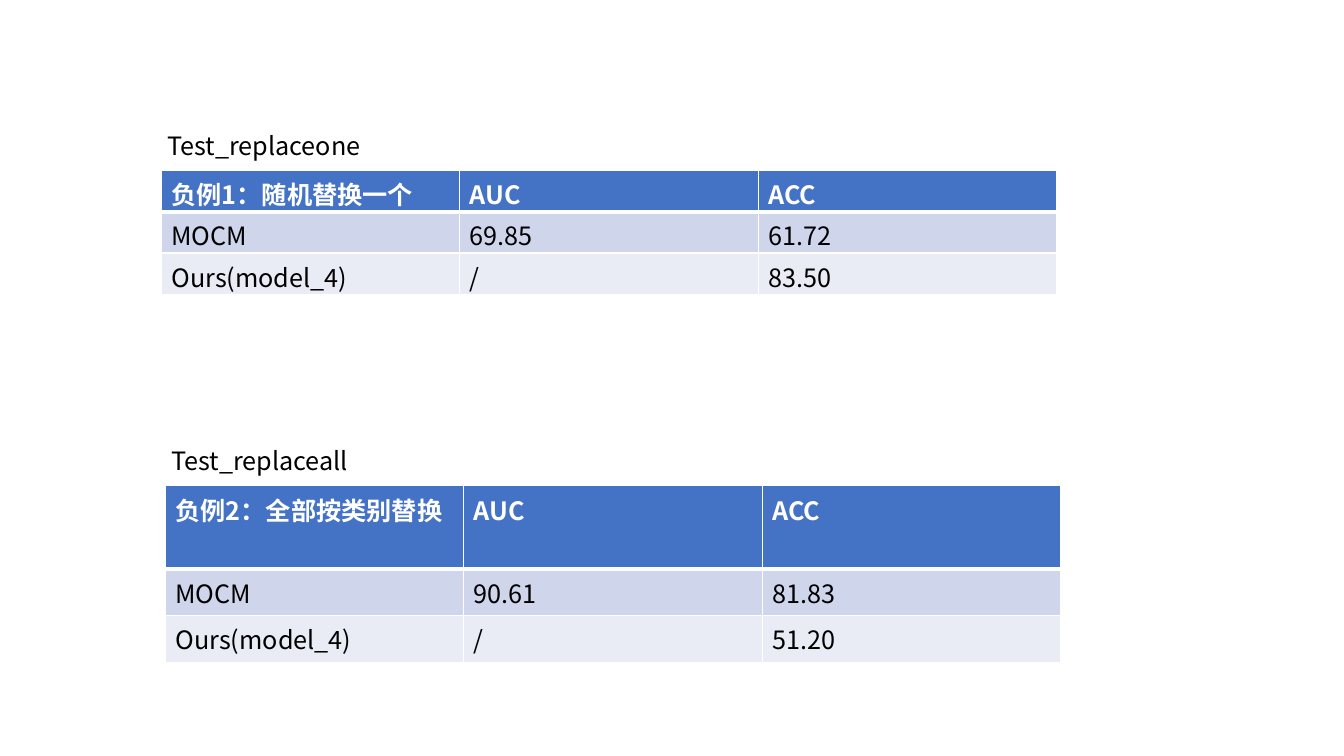
from lxml import etree
from pptx import Presentation
from pptx import util as u
from pptx.dml.color import RGBColor
from pptx.enum import text
from pptx.oxml.ns import qn

WHITE = RGBColor(0xFF, 0xFF, 0xFF)
BLACK = RGBColor(0x00, 0x00, 0x00)
HEADER_BLUE = RGBColor(0x44, 0x72, 0xC4)
BAND_DARK = RGBColor(0xCF, 0xD5, 0xEA)
BAND_LIGHT = RGBColor(0xE9, 0xEB, 0xF5)

SLIDE_W, SLIDE_H = u.Inches(13.33), u.Inches(7.5)
FONT = "Noto Sans CJK SC"
BODY = {"name": FONT, "size": u.Pt(18), "bold": False}
HEADING = {**BODY, "bold": True}

# Lengths in inches
COLUMN_W, ROW_H = 2.96, 0.41
CAPTION_W, CAPTION_H = 6.66, 0.4
CAPTION_SHIFT, CAPTION_RISE = 0.04, 0.45

RESULTS = [
    # caption, left, top, header row height, rows
    ("Test_replaceall", 1.64, 4.82, 0.37, [
        ("负例2：全部按类别替换", "AUC", "ACC"),
        ("MOCM", "90.61", "81.83"),
        ("Ours(model_4)", "/", "51.20")]),
    ("Test_replaceone", 1.6, 1.69, ROW_H, [
        ("负例1：随机替换一个", "AUC", "ACC"),
        ("MOCM", "69.85", "61.72"),
        ("Ours(model_4)", "/", "83.50")]),
]


def write(frame, words, style, colour):
    run = frame.paragraphs[0].add_run()
    run.text = words
    for name, value in style.items():
        setattr(run.font, name, value)
    run.font.color.rgb = colour
    east_asian = etree.SubElement(run.font._element, qn("a:ea"))
    east_asian.set("typeface", FONT)


def add_borders(cell, widths):
    """Draw white cell borders; widths maps a side (L, R, T, B) to points."""
    properties = cell._tc.get_or_add_tcPr()
    for side, points in widths.items():
        line = etree.SubElement(properties, qn(f"a:ln{side}"), w=str(u.Pt(points)))
        fill = etree.SubElement(line, qn("a:solidFill"))
        etree.SubElement(fill, qn("a:srgbClr"), val=str(WHITE))


def add_caption(slide, left, top, words):
    caption = slide.shapes.add_textbox(
        *map(u.Inches, (left, top, CAPTION_W, CAPTION_H)))
    frame = caption.text_frame
    frame.word_wrap = True
    frame.auto_size = text.MSO_AUTO_SIZE.SHAPE_TO_FIT_TEXT
    write(frame, words, BODY, BLACK)


def add_results(slide, left, top, header_h, rows):
    heights = [header_h] + [ROW_H] * (len(rows) - 1)
    columns = len(rows[0])
    table = slide.shapes.add_table(
        len(rows), columns,
        *map(u.Inches, (left, top, columns * COLUMN_W, sum(heights)))).table
    for column in table.columns:
        column.width = u.Inches(COLUMN_W)
    for r, values in enumerate(rows):
        table.rows[r].height = u.Inches(heights[r])
        is_header = r == 0
        band = HEADER_BLUE if is_header else (BAND_LIGHT, BAND_DARK)[r % 2]
        widths = {"L": 1, "R": 1, "T": 3 if r == 1 else 1, "B": 3 if is_header else 1}
        for c, value in enumerate(values):
            cell = table.cell(r, c)
            add_borders(cell, widths)
            cell.fill.solid()
            cell.fill.fore_color.rgb = band
            write(cell.text_frame, value, HEADING if is_header else BODY,
                  WHITE if is_header else BLACK)


def main():
    deck = Presentation()
    deck.slide_width, deck.slide_height = SLIDE_W, SLIDE_H
    slide = deck.slides.add_slide(deck.slide_layouts[6])
    for caption, left, top, header_h, rows in RESULTS:
        add_results(slide, left, top, header_h, rows)
        add_caption(slide, left - CAPTION_SHIFT, top - CAPTION_RISE, caption)
    deck.save("out.pptx")


if __name__ == "__main__":
    main()
